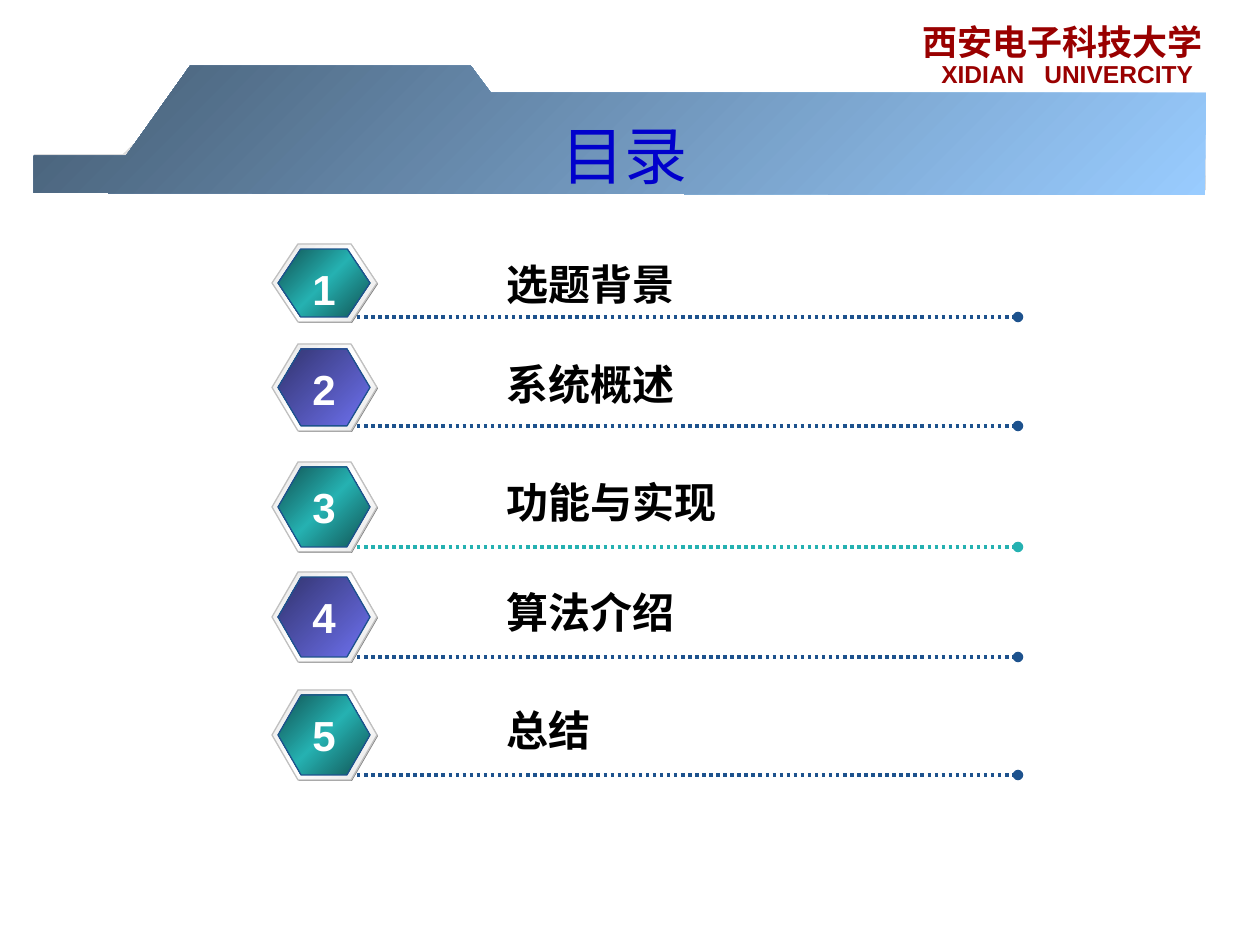
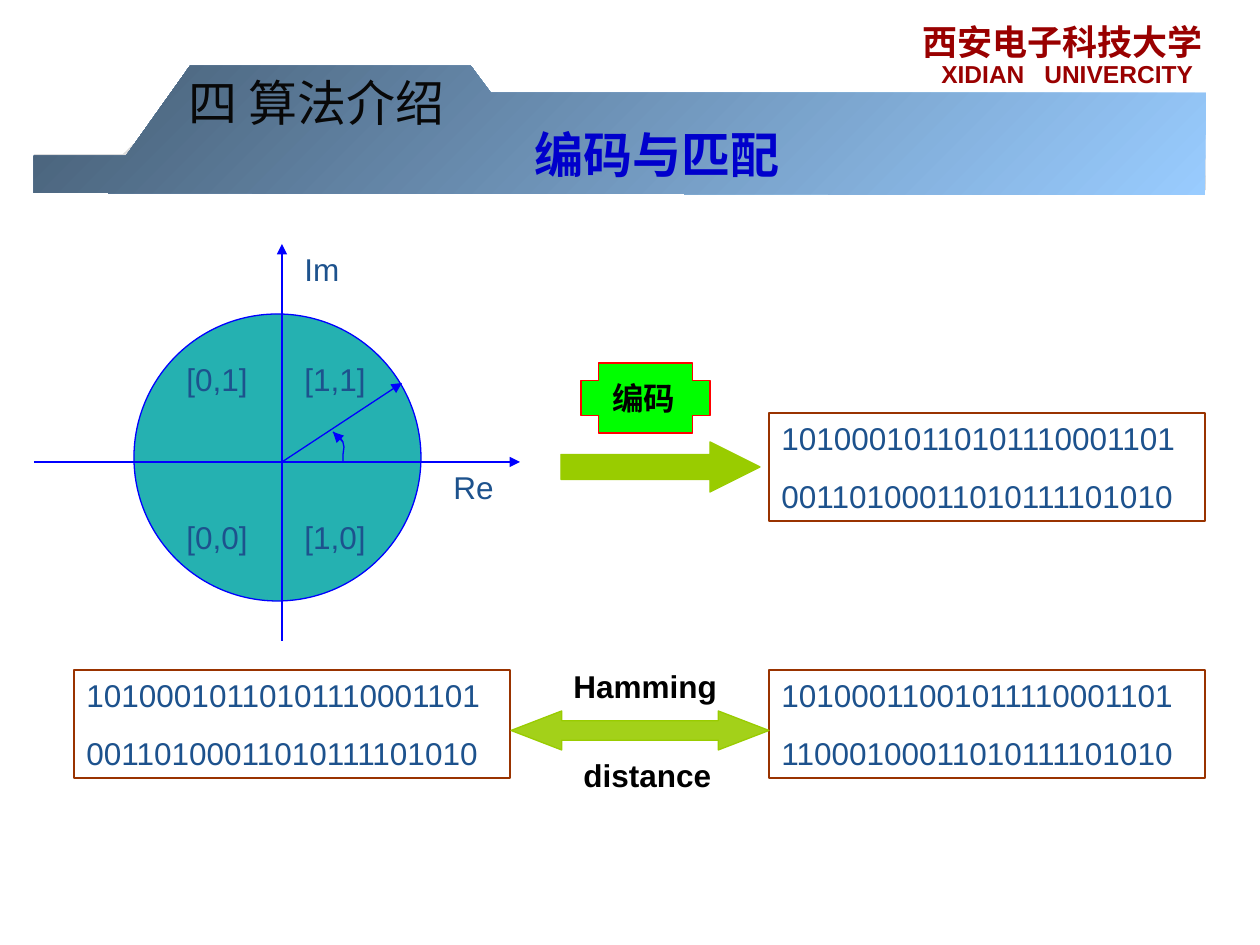
from typing import NamedTuple, Optional

from lxml import etree
from pptx import Presentation
from pptx.dml.color import RGBColor
from pptx.enum.dml import MSO_LINE
from pptx.enum.shapes import MSO_CONNECTOR, MSO_SHAPE
from pptx.enum.text import MSO_ANCHOR, MSO_AUTO_SIZE, PP_ALIGN
from pptx.oxml.ns import qn
from pptx.util import Emu, Pt

EMU_PER_PX = 914400 / 126
SLIDE_W, SLIDE_H = 1260, 945
TITLE_ONLY = 5
FONT, TITLE_FONT = "Arial", "DejaVu Sans"
LEFT, CENTER = PP_ALIGN.LEFT, PP_ALIGN.CENTER
TOP, MIDDLE = MSO_ANCHOR.TOP, MSO_ANCHOR.MIDDLE
NO_AUTOSIZE = MSO_AUTO_SIZE.NONE
STRAIGHT = MSO_CONNECTOR.STRAIGHT
DOTTED = MSO_LINE.ROUND_DOT
HEXAGON, OVAL, RECT = MSO_SHAPE.HEXAGON, MSO_SHAPE.OVAL, MSO_SHAPE.RECTANGLE
CROSS, RIGHT_ARROW = MSO_SHAPE.CROSS, MSO_SHAPE.RIGHT_ARROW
LEFT_RIGHT_ARROW = MSO_SHAPE.LEFT_RIGHT_ARROW

COLORS = {
    "black": "000000", "white": "FFFFFF", "ink": "080808",
    "title": "0000CC", "school": "990000", "navy": "1D528D",
    "band_light": "99CCFF", "band_dark": "465E75", "band_edge": "DDDDDD",
    "teal": "25B1B1", "teal_dark": "115151",
    "violet": "6E71F0", "violet_dark": "32346E",
    "shade": "808080", "rim": "E6E6E6", "rim_line": "C0C0C0",
    "axis": "0000FF", "brown": "993300",
    "arrow": "99CC00", "lime": "00FF00", "red": "FF0000",
}
BAND = ("band_light", "band_dark")
RIM = ("rim", "white", "rim")
TEAL = ("teal_dark", "teal", "teal_dark")
VIOLET = ("violet", "violet_dark")


class Box(NamedTuple):
    left: int
    top: int
    width: int
    height: int


class AgendaItem(NamedTuple):
    label: str
    top: int
    height: int
    gradient: tuple
    rule: str = "navy"


class Label(NamedTuple):
    text: str
    box: Box
    color: str = "navy"
    bold: bool = False


class CodeBox(NamedTuple):
    left: int
    top: int
    lines: str


AGENDA = (
    AgendaItem("选题背景", 244, 78, TEAL),
    AgendaItem("系统概述", 344, 87, VIOLET),
    AgendaItem("功能与实现", 462, 90, TEAL, "teal"),
    AgendaItem("算法介绍", 572, 90, VIOLET),
    AgendaItem("总结", 690, 90, TEAL),
)
PLANE_LABELS = (
    Label("Im", Box(292, 244, 79, 50)),
    Label("[0,1]", Box(174, 354, 100, 50)),
    Label("[1,1]", Box(292, 354, 100, 50)),
    Label("[0,0]", Box(174, 512, 100, 50)),
    Label("[1,0]", Box(292, 512, 100, 50)),
    Label("Re", Box(441, 462, 69, 50)),
)
STEP_LABELS = (
    Label("编码", Box(600, 373, 89, 50), "black", True),
    Label("Hamming", Box(561, 661, 179, 50), "black", True),
    Label("distance", Box(571, 750, 159, 50), "black", True),
)
CODE_BOXES = (
    CodeBox(769, 413, "10100010110101110001101\n00110100011010111101010"),
    CodeBox(769, 670, "10100011001011110001101\n11000100011010111101010"),
    CodeBox(74, 670, "10100010110101110001101\n00110100011010111101010"),
)


def px(n: float) -> Emu:
    return Emu(round(n * EMU_PER_PX))


def emu_box(box: Box) -> list:
    return [px(n) for n in box]


def rgb(name: str) -> RGBColor:
    return RGBColor.from_string(COLORS[name])


def write_text(tf, text: str, *, size: int, color: str, bold: bool = False,
               font: str = FONT, align=LEFT, anchor=TOP, wrap: bool = True,
               gap: float = 0, tab: Optional[int] = None) -> None:
    """Fill a text frame, one paragraph per line, with gap points between."""
    tf.auto_size = NO_AUTOSIZE
    tf.word_wrap = wrap
    tf.vertical_anchor = anchor
    for i, line in enumerate(text.split("\n")):
        p = tf.paragraphs[0] if i == 0 else tf.add_paragraph()
        p.alignment = align
        if i:
            p.space_before = Pt(gap)
        if tab:
            stops = etree.SubElement(p._p.get_or_add_pPr(), qn("a:tabLst"))
            etree.SubElement(stops, qn("a:tab"), pos=str(px(tab)), algn="l")
        r = p.add_run()
        r.text = line
        r.font.name = font
        r.font.size = Pt(size)
        r.font.bold = bold
        r.font.color.rgb = rgb(color)


def add_text(slide, text: str, box: Box, **fmt):
    sp = slide.shapes.add_textbox(*emu_box(box))
    write_text(sp.text_frame, text, **fmt)
    return sp


def paint(sp, fill=None, line: Optional[str] = None) -> None:
    """Set fill (colour name, tuple of gradient colours or None) and line."""
    sp.shadow.inherit = False
    if fill is None:
        sp.fill.background()
    elif isinstance(fill, tuple):
        sp.fill.gradient()
        sp.fill.gradient_angle = 135
        stops = sp._element.spPr.find(qn("a:gradFill")).find(qn("a:gsLst"))
        stops.clear()
        for i, name in enumerate(fill):
            position = str(100000 * i // (len(fill) - 1))
            gs = etree.SubElement(stops, qn("a:gs"), pos=position)
            etree.SubElement(gs, qn("a:srgbClr"), val=COLORS[name])
    else:
        sp.fill.solid()
        sp.fill.fore_color.rgb = rgb(fill)
    if line is None:
        sp.line.fill.background()
    else:
        sp.line.color.rgb = rgb(line)
        sp.line.width = Pt(0.75)


def add_shape(slide, kind, box: Box, fill=None, line: Optional[str] = None,
              adjust: tuple = ()):
    sp = slide.shapes.add_shape(kind, *emu_box(box))
    for i, value in enumerate(adjust):
        sp.adjustments[i] = value
    paint(sp, fill, line)
    return sp


def add_outline(slide, points: tuple, fill=None, line: Optional[str] = None,
                close: bool = True):
    builder = slide.shapes.build_freeform(*points[0], scale=EMU_PER_PX)
    builder.add_line_segments(points[1:], close=close)
    sp = builder.convert_to_shape()
    paint(sp, fill, line)
    return sp


def add_line(slide, start: tuple, end: tuple, color: str, width: float = 0.75,
             tail: str = "triangle", dash=None) -> None:
    line = slide.shapes.add_connector(STRAIGHT, *map(px, start + end))
    line.line.color.rgb = rgb(color)
    line.line.width = Pt(width)
    if dash is not None:
        line.line.dash_style = dash
    spPr = line._element.spPr
    etree.SubElement(spPr.find(qn("a:ln")), qn("a:tailEnd"), type=tail)
    etree.SubElement(spPr, qn("a:effectLst"))


def set_title(slide, text: str, size: int, bold: bool = False,
              indent: int = 0) -> None:
    title = slide.shapes.title
    title.left, title.top, title.width, title.height = emu_box(
        Box(84, 115, 1081, 78))
    title.text_frame.margin_left = px(13 + indent)
    write_text(title.text_frame, text, size=size, color="title", bold=bold,
               font=TITLE_FONT, align=CENTER, anchor=MIDDLE)


def install_header(slide, layout) -> None:
    """Draw the band and school name, then move them to the layout."""
    parts = (
        add_outline(slide, ((34, 154), (123, 154), (193, 86), (474, 86),
                            (495, 107), (1205, 106), (1206, 190), (35, 188)),
                    "band_edge"),
        add_outline(slide, ((126, 156), (190, 66), (471, 66), (491, 93),
                            (1206, 93), (1205, 195), (34, 193), (34, 156)),
                    BAND),
        add_text(slide, "西安电子科技大学", Box(910, 14, 310, 55),
                 size=20, color="school", bold=True),
        add_text(slide, "XIDIAN\tUNIVERCITY", Box(929, 53, 290, 43),
                 size=14, color="school", bold=True, tab=103),
    )
    for sp in parts:
        layout.shapes._spTree.append(sp._element)


def draw_agenda_item(slide, number: int, item: AgendaItem) -> None:
    top, height = item.top, item.height
    rule_y = top + height - 5
    adjust = (26 / height,)
    add_line(slide, (357, rule_y), (1018, rule_y), item.rule, 2, "oval", DOTTED)
    add_shape(slide, HEXAGON, Box(273, top + 1, 105, height), "shade",
              adjust=adjust)
    add_shape(slide, HEXAGON, Box(272, top, 105, height), RIM, "rim_line",
              adjust)
    add_shape(slide, HEXAGON, Box(278, top + 5, 92, height - 10),
              item.gradient, "navy", adjust)
    add_text(slide, item.label,
             Box(494, top + 8, 42 * len(item.label) + 25, 63),
             size=24, color="black", bold=True, wrap=False)
    add_text(slide, str(number), Box(300, top + 13, 48, 63), size=24,
             color="white", bold=True, align=CENTER, wrap=False)


def draw_labels(slide, labels: tuple) -> None:
    for label in labels:
        add_text(slide, label.text, label.box, size=18, color=label.color,
                 bold=label.bold)


def draw_complex_plane(slide) -> None:
    origin = (282, 462)
    add_shape(slide, OVAL, Box(134, 314, 287, 287), "teal", "axis")
    add_line(slide, (34, 462), (520, 462), "axis")
    add_line(slide, (282, 641), (282, 244), "axis")
    add_line(slide, origin, (402, 383), "axis")
    add_outline(slide, ((343, 462), (343, 455), (344, 447), (343, 442),
                        (340, 437), (333, 432)), line="axis", close=False)
    add_line(slide, (343, 442), (333, 432), "axis")
    draw_labels(slide, PLANE_LABELS)


def draw_coding_steps(slide) -> None:
    add_shape(slide, RIGHT_ARROW, Box(561, 442, 199, 50), "arrow", "arrow",
              (0.5, 1))
    add_shape(slide, CROSS, Box(581, 363, 129, 70), "lime", "red", (0.25,))
    for code in CODE_BOXES:
        sp = add_shape(slide, RECT, Box(code.left, code.top, 436, 108),
                       line="brown")
        write_text(sp.text_frame, code.lines, size=18, color="navy", gap=11.25)
    distance = add_shape(slide, LEFT_RIGHT_ARROW, Box(511, 711, 258, 39),
                         "arrow", "arrow", (0.5, 1.3))
    solid = distance._element.spPr.find(qn("a:solidFill"))
    etree.SubElement(solid[0], qn("a:alpha"), val="90000")
    draw_labels(slide, STEP_LABELS)


def main() -> None:
    prs = Presentation()
    prs.slide_width, prs.slide_height = px(SLIDE_W), px(SLIDE_H)
    layout = prs.slide_layouts[TITLE_ONLY]

    agenda = prs.slides.add_slide(layout)
    install_header(agenda, layout)
    set_title(agenda, "目录", 36)
    for number, item in enumerate(AGENDA, 1):
        draw_agenda_item(agenda, number, item)

    coding = prs.slides.add_slide(layout)
    set_title(coding, "编码与匹配", 28, bold=True, indent=64)
    draw_complex_plane(coding)
    draw_coding_steps(coding)
    add_text(coding, "四 算法介绍", Box(176, 66, 355, 72), size=28, color="ink")

    prs.save("out.pptx")


if __name__ == "__main__":
    main()
